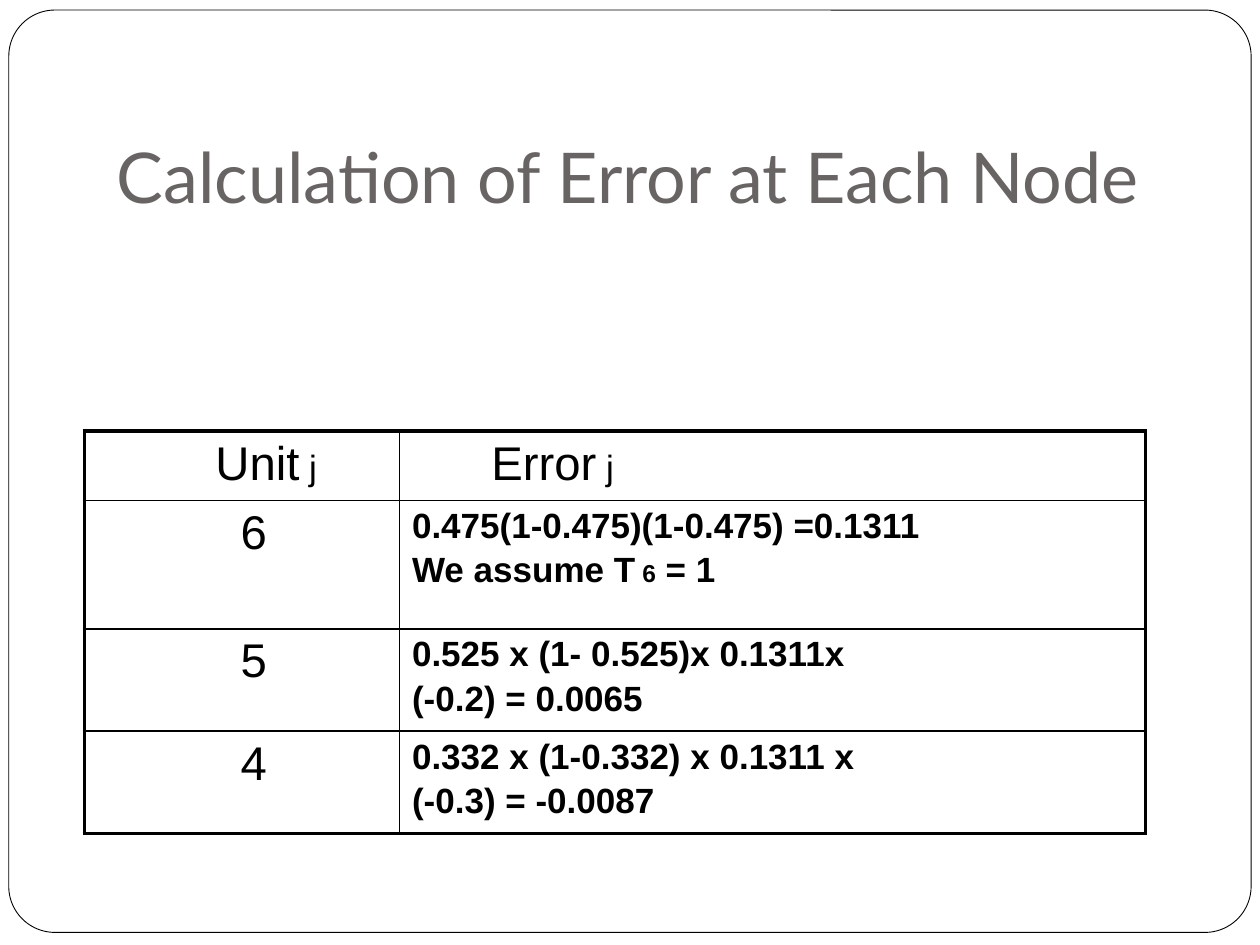
"""Build the slide with the error calculated at each node."""
from pptx import Presentation
from pptx.dml.color import RGBColor
from pptx.enum.shapes import MSO_SHAPE
from pptx.enum.text import MSO_ANCHOR
from pptx.oxml import parse_xml
from pptx.oxml.ns import nsdecls
from pptx.util import Inches, Pt


def color(code):
    return RGBColor.from_string(code)


def write(frame, lines, font="Arial", shade="000000", bold=False, indent=0, gap=3.2, space=None):
    for num, runs in enumerate(lines):
        para = frame.paragraphs[0] if num == 0 else frame.add_paragraph()
        if num:
            para.space_before = Pt(gap)
        if space:
            para.line_spacing = space
        if indent:
            para._p.get_or_add_pPr().set("marL", str(Inches(indent)))
        for text, size in runs:
            run = para.add_run()
            run.text = text
            run.font.name = font
            run.font.size = Pt(size)
            run.font.bold = bold
            run.font.color.rgb = color(shade)


deck = Presentation()
deck.slide_width, deck.slide_height = Inches(10), Inches(7.5)
slide = deck.slides.add_slide(deck.slide_layouts[6])

frame = slide.shapes.add_shape(
    MSO_SHAPE.ROUNDED_RECTANGLE, Inches(0.07), Inches(0.08), Inches(9.86), Inches(7.32))
frame.adjustments[0] = 0.05
frame.shadow.inherit = False
frame.fill.background()
frame.line.color.rgb = color("000000")
frame.line.width = Pt(0.5)

title = slide.shapes.add_textbox(Inches(0.83), Inches(0.58), Inches(8.42), Inches(1.25)).text_frame
title.word_wrap = True
title.vertical_anchor = MSO_ANCHOR.BOTTOM
title.margin_bottom = Inches(0.1)
write(title, [[("Calculation of Error at Each Node", 40)]], font="Lato", shade="696464", space=1.24)

rows = [
    ("6", [[("0.475(1-0.475)(1-0.475) =0.1311", 20)],
           [("We assume T", 20), (" 6", 14), (" = 1", 20)]]),
    ("5", [[("0.525 x (1- 0.525)x 0.1311x", 20)], [("(-0.2) = 0.0065", 20)]]),
    ("4", [[("0.332 x (1-0.332) x 0.1311 x", 20)], [("(-0.3) = -0.0087", 20)]]),
]
wide = [2.5, 5.92]
high = [0.52, 1.02, 0.77, 0.77]
table = slide.shapes.add_table(
    len(high), len(wide), Inches(0.67), Inches(3.42), Inches(sum(wide)), Inches(sum(high))).table
table.first_row = table.horz_banding = False
for col, size in zip(table.columns, wide):
    col.width = Inches(size)
for row, size in zip(table.rows, high):
    row.height = Inches(size)

for x, (word, indent) in enumerate([("Unit", 0.94), ("Error", 0.63)]):
    write(table.cell(0, x).text_frame, [[(word, 27), (" j", 20)]], indent=indent)
for y, (unit, lines) in enumerate(rows, 1):
    write(table.cell(y, 0).text_frame, [[(unit, 27)]], indent=1.14)
    write(table.cell(y, 1).text_frame, lines, bold=True)

for y in range(len(high)):
    for x in range(len(wide)):
        cell = table.cell(y, x)
        outer = {"L": x == 0, "R": x == len(wide) - 1, "T": y == 0, "B": y == len(high) - 1}
        props = cell._tc.get_or_add_tcPr()
        for side, edge in outer.items():
            width = Pt(2.25 if edge else 1)
            props.append(parse_xml(
                f'<a:ln{side} {nsdecls("a")} w="{width}"><a:solidFill>'
                f'<a:srgbClr val="000000"/></a:solidFill></a:ln{side}>'))
        cell.fill.background()

deck.save("out.pptx")
